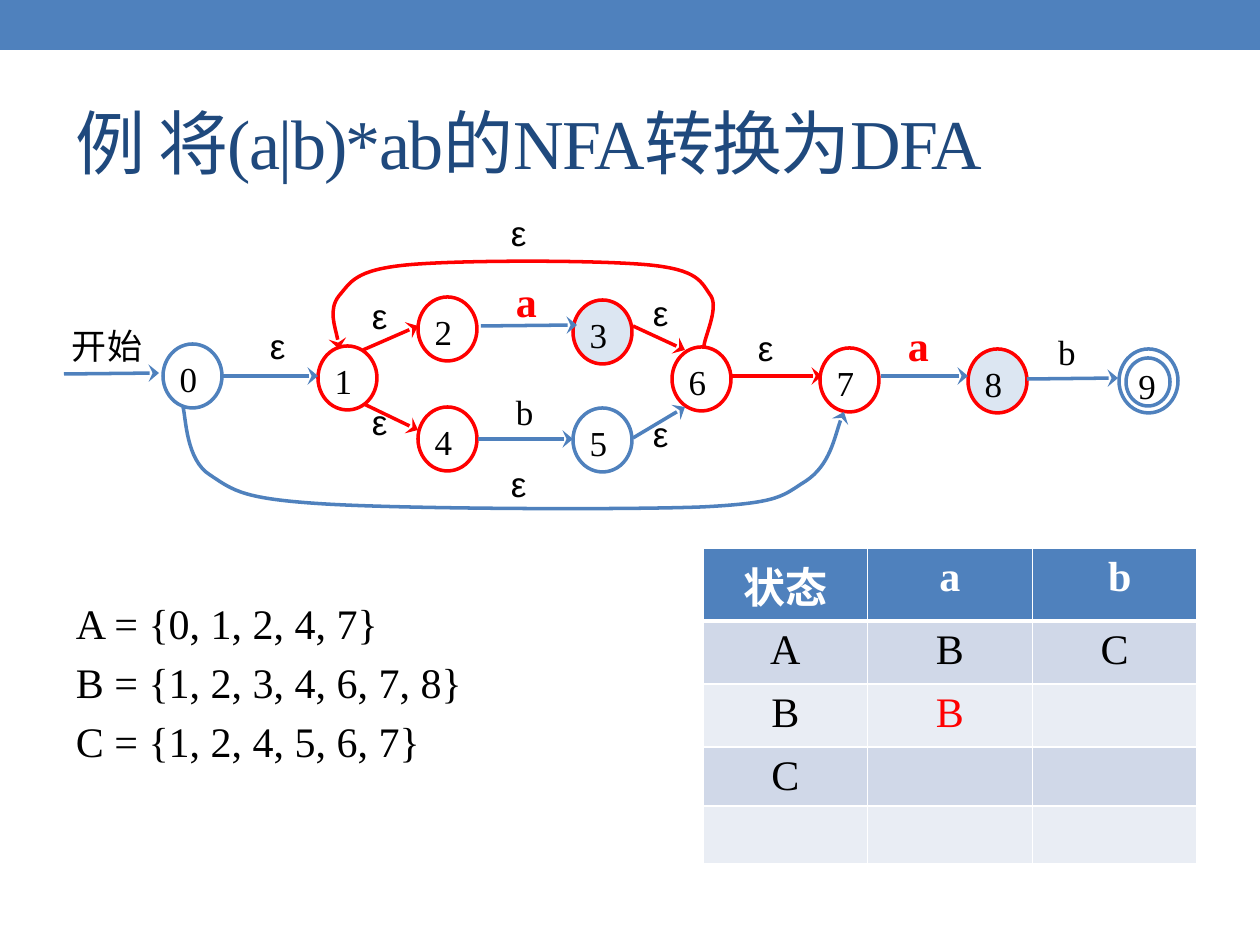
from pptx import Presentation
from pptx.dml.color import RGBColor
from pptx.enum import shapes, text
from pptx.oxml import parse_xml
from pptx.oxml.ns import nsdecls, qn
from pptx.util import Pt

PX = 914400 / 126
SERIF, SANS = "Times New Roman", "Arial"
HUE = dict(blue="4F81BD", red="FF0000", navy="1F497D", black="000000",
           white="FFFFFF", pale="DCE6F2", dark="D0D8E8", light="E9EDF4")

# Content: lengths in pixels
TITLE = "例 将(a|b)*ab的NFA转换为DFA"
SETS = ["A = {0, 1, 2, 4, 7}", "B = {1, 2, 3, 4, 6, 7, 8}", "C = {1, 2, 4, 5, 6, 7}"]
ROWS = [["状态", "a", " b"], ["A", "B", "C"], ["B", "B", ""], ["C", "", ""], ["", "", ""]]
NEW = (2, 1)  # the entry just found
HIGH = [73, 63, 63, 58, 58]
NODE = (59, 64)
STATES = [  # name, left, top, line, fill
    ("0", 163, 344, "blue", None), ("1", 318, 346, "red", None),
    ("2", 418, 297, "red", None), ("3", 573, 300, "red", "pale"),
    ("4", 418, 407, "red", None), ("5", 573, 408, "blue", None),
    ("6", 672, 347, "red", None), ("7", 820, 348, "red", None),
    ("8", 968, 349, "red", "pale"), ("", 1119, 349, "blue", None)]
EDGES = [  # from x, y, to x, y, line
    (64, 374, 159, 373, "blue"), (222, 376, 318, 376, "blue"),
    (363, 350, 418, 326, "red"), (364, 404, 418, 430, "red"),
    (481, 326, 577, 325, "blue"), (478, 439, 573, 439, "blue"),
    (633, 326, 685, 350, "red"), (633, 438, 685, 407, "blue"),
    (731, 376, 822, 376, "red"), (881, 376, 968, 376, "blue"),
    (1027, 379, 1118, 378, "blue")]
LOOPS = [  # line, start, then three points for each Bezier arc
    ("blue", [(183, 407), (186, 418), (186, 460), (210, 475), (234, 491), (243, 499),
              (325, 504), (407, 509), (621, 510), (702, 507), (781, 503), (782, 496),
              (806, 481), (830, 465), (837, 426), (844, 412)]),
    ("red", [(704, 347), (704, 338), (719, 309), (711, 296), (701, 282), (699, 270),
             (649, 265), (597, 260), (459, 260), (407, 265), (355, 270), (351, 282),
             (339, 296), (328, 310), (339, 338), (339, 349)])]
LABELS = [  # text, left, top, width, height
    ("开始", 64, 320, 96, 62), ("ε", 262, 320, 53, 53), ("ε", 364, 291, 45, 49),
    ("ε", 364, 397, 48, 52), ("ε", 645, 287, 53, 53), ("ε", 645, 408, 53, 52),
    ("ε", 503, 459, 53, 53), ("ε", 503, 208, 53, 52), ("ε", 750, 323, 53, 40),
    ("a", 508, 272, 48, 52), ("a", 900, 316, 48, 52),
    ("b", 508, 387, 48, 52), ("b", 1050, 326, 54, 54)]

deck = Presentation()
deck.slide_width, deck.slide_height = round(1260 * PX), round(945 * PX)
page = deck.slides.add_slide(deck.slide_layouts[6])
draw = page.shapes


def rgb(hue):
    return RGBColor.from_string(HUE[hue])


def place(*box):
    return [round(v * PX) for v in box]


def write(par, words, size, hue="black", font=SERIF, bold=False):
    run = par.add_run()
    run.text = words
    run.font.size, run.font.name, run.font.bold = Pt(size), font, bold
    run.font.color.rgb = rgb(hue)
    return run


def frame(shape, pads, anchor=text.MSO_ANCHOR.TOP):
    body = shape.text_frame
    body.word_wrap = True
    body.vertical_anchor = anchor
    (body.margin_left, body.margin_top,
     body.margin_right, body.margin_bottom) = place(*pads)
    return body.paragraphs[0]


def shade(shape, fill, line):
    shape.shadow.inherit = False
    if fill:
        shape.fill.solid()
        shape.fill.fore_color.rgb = rgb(fill)
    else:
        shape.fill.background()
    if line:
        shape.line.color.rgb = rgb(line)
        shape.line.width = Pt(2)
    else:
        shape.line.fill.background()


def arrow(shape):
    shape.line._get_or_add_ln().append(
        parse_xml(f'<a:tailEnd {nsdecls("a")} type="stealth" w="lg" len="med"/>'))


def ring(name, box, line, fill, pads):
    disc = draw.add_shape(shapes.MSO_SHAPE.OVAL, *place(*box))
    shade(disc, fill, line)
    if name:
        par = frame(disc, pads)
        par.alignment = text.PP_ALIGN.LEFT
        write(par, name, 20)


def bend(shape):
    """Join each three straight steps into one Bezier arc."""
    steps = list(shape._element.iter(qn("a:lnTo")))
    for i in range(0, len(steps), 3):
        arc = parse_xml(f'<a:cubicBezTo {nsdecls("a")}/>')
        steps[i].addprevious(arc)
        for step in steps[i:i + 3]:
            arc.append(step[0])
            step.getparent().remove(step)


# Top band and title
band = draw.add_shape(shapes.MSO_SHAPE.RECTANGLE, *place(0, 0, 1260, 50))
shade(band, "blue", None)
head = draw.add_textbox(*place(63, 73, 1134, 136))
run = write(frame(head, (13, 6, 13, 6), text.MSO_ANCHOR.MIDDLE), TITLE, 40, "navy")
run._r.get_or_add_rPr().set("spc", "-100")

# State sets
note = draw.add_textbox(*place(63, 592, 1134, 300))
par = frame(note, (13, 6, 13, 6))
for i, words in enumerate(SETS):
    if i:
        par = note.text_frame.add_paragraph()
    par._p.get_or_add_pPr().append(parse_xml(
        f'<a:spcBef {nsdecls("a")}><a:spcPct val="20000"/></a:spcBef>'))
    write(par, words, 24)

# Transition table
grid = draw.add_table(5, 3, *place(703, 548, 494, sum(HIGH))).table
for col in grid.columns:
    col.width = round(494 * PX / 3)
for r, (row, high) in enumerate(zip(ROWS, HIGH)):
    grid.rows[r].height = round(high * PX)
    for c, words in enumerate(row):
        cell = grid.cell(r, c)
        if r > 2:
            cell.margin_bottom = round(2 * PX)
        props = cell._tc.get_or_add_tcPr()
        for side in "LRTB":
            thick = 3 if (r, side) in ((0, "B"), (1, "T")) else 1
            props.append(parse_xml(
                f'<a:ln{side} {nsdecls("a")} w="{thick * 12700}"><a:solidFill>'
                f'<a:srgbClr val="{HUE["white"]}"/></a:solidFill></a:ln{side}>'))
        cell.fill.solid()
        cell.fill.fore_color.rgb = rgb("blue" if r == 0 else "dark" if r % 2 else "light")
        if words:
            par = cell.text_frame.paragraphs[0]
            par.alignment = text.PP_ALIGN.CENTER
            hue = "white" if r == 0 else "red" if (r, c) == NEW else "black"
            write(par, words, 24, hue, bold=r == 0)

# States, with the inner ring of the final one
for name, x, y, line, fill in STATES:
    ring(name, (x, y, *NODE), line, fill, (8, 4, 3, 6))
ring("9", (1126, 358, 44, 48), "blue", None, (6, 0, 1, 0))

# Straight and curved moves
for *ends, line in EDGES:
    edge = draw.add_connector(shapes.MSO_CONNECTOR.STRAIGHT, *place(*ends))
    edge.line.color.rgb = rgb(line)
    edge.line.width = Pt(2)
    arrow(edge)
    edge._element.spPr.append(parse_xml(f'<a:effectLst {nsdecls("a")}/>'))
for line, pts in LOOPS:
    first, *rest = [place(*p) for p in pts]
    pen = draw.build_freeform(*first)
    pen.add_line_segments(rest, close=False)
    loop = pen.convert_to_shape()
    bend(loop)
    shade(loop, None, line)
    arrow(loop)

# Move labels
for words, *box in LABELS:
    par = frame(draw.add_textbox(*place(*box)), (8, 4, 8, 4))
    par.alignment = text.PP_ALIGN.JUSTIFY
    hot = words == "a"
    write(par, words, 24 if hot else 20, "red" if hot else "black",
          SANS if words == "ε" else SERIF, hot)

deck.save("out.pptx")
